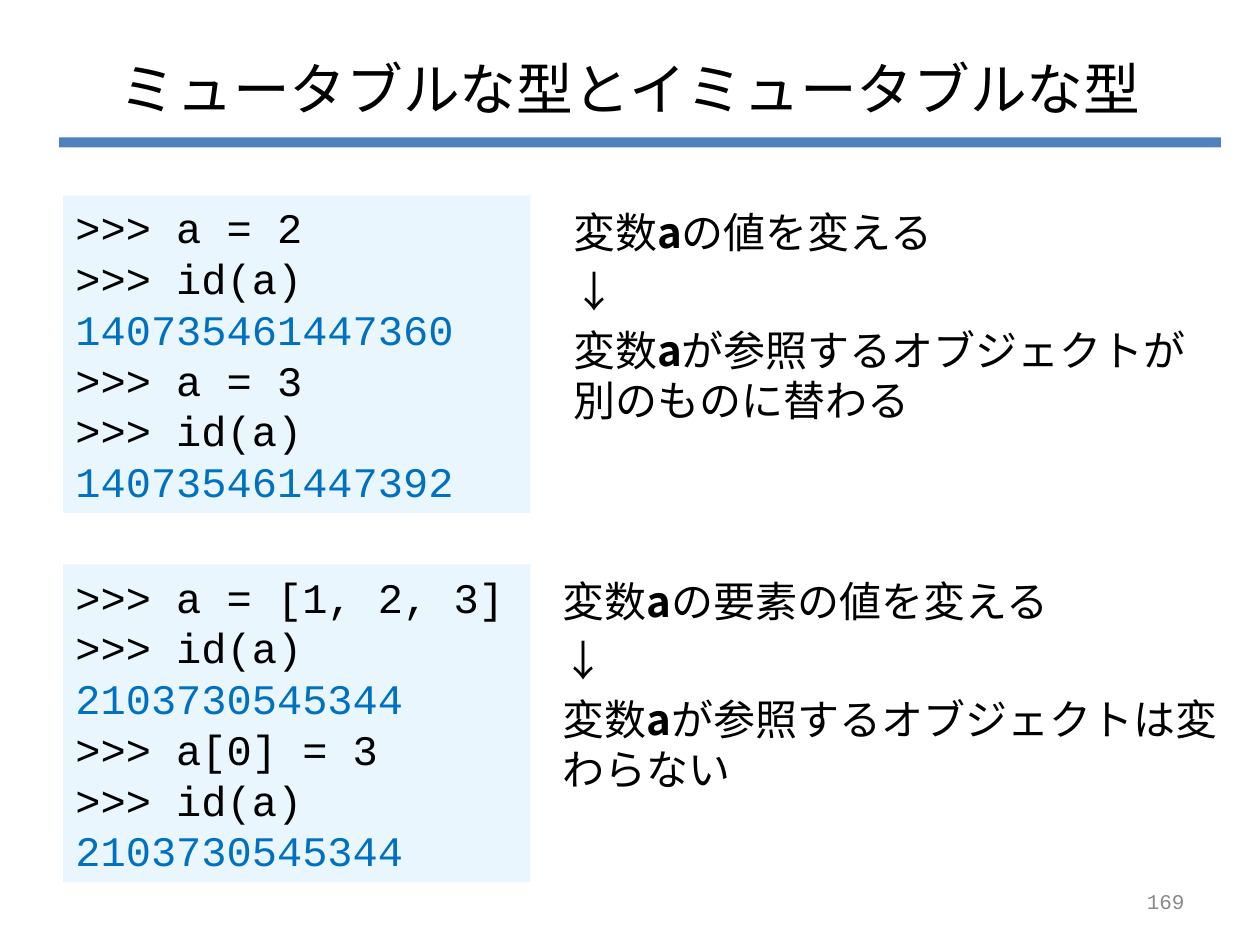
from lxml.etree import SubElement
from pptx import Presentation
from pptx.dml.color import RGBColor
from pptx.enum.shapes import MSO_SHAPE
from pptx.enum.text import MSO_ANCHOR, PP_ALIGN
from pptx.oxml.ns import qn
from pptx.util import Inches, Pt

COLORS = {
    "bar": "4F81BD",
    "code": "EAF6FD",
    "text": "000000",
    "output": "0070C0",
    "number": "898989",
}
SANS = "Noto Sans CJK JP"
MONO = "Courier New"


def add_run(paragraph, text, font=SANS, size=24, color="text", bold=False):
    """Append a formatted run, with the Japanese font for East Asian text."""
    run = paragraph.add_run()
    run.text = text
    run.font.name = font
    run.font.size = Pt(size)
    run.font.bold = bold
    run.font.color.rgb = RGBColor.from_string(COLORS[color])
    SubElement(run.font._element, qn("a:ea"), typeface=SANS)


def add_rectangle(slide, left, top, width, height, color):
    """Add a plain filled rectangle."""
    shape = slide.shapes.add_shape(
        MSO_SHAPE.RECTANGLE, Inches(left), Inches(top), Inches(width), Inches(height)
    )
    shape.shadow.inherit = False
    shape.fill.solid()
    shape.fill.fore_color.rgb = RGBColor.from_string(COLORS[color])
    shape.line.fill.background()
    return shape


def add_text_box(slide, left, top, width, height, anchor=MSO_ANCHOR.TOP):
    """Add a wrapping text box and return its text frame."""
    box = slide.shapes.add_textbox(
        Inches(left), Inches(top), Inches(width), Inches(height)
    )
    box.text_frame.word_wrap = True
    box.text_frame.vertical_anchor = anchor
    return box.text_frame


def add_label(slide, left, top, width, height, text, align, **run_format):
    """Add one vertically centred line of text."""
    frame = add_text_box(slide, left, top, width, height, MSO_ANCHOR.MIDDLE)
    frame.paragraphs[0].alignment = align
    add_run(frame.paragraphs[0], text, **run_format)


def next_paragraph(frame, index):
    """Return the first paragraph, or a new one after it."""
    return frame.add_paragraph() if index else frame.paragraphs[0]


def add_code(slide, top, lines):
    """Add an interpreter session with its output lines coloured."""
    frame = add_rectangle(slide, 0.5, top, 3.71, 2.52, "code").text_frame
    frame.word_wrap = True
    frame.vertical_anchor = MSO_ANCHOR.TOP
    for index, line in enumerate(lines):
        paragraph = next_paragraph(frame, index)
        paragraph.alignment = PP_ALIGN.LEFT
        paragraph.line_spacing = Pt(29)
        color = "text" if line.startswith(">>>") else "output"
        add_run(paragraph, line, font=MONO, color=color)


def add_explanation(slide, left, top, width, height, cause, effect):
    """Explain what happens to the variable, cause above effect."""
    frame = add_text_box(slide, left, top, width, height)
    rows = [("変数", "a", cause), ("↓",), ("変数", "a", effect)]
    for index, row in enumerate(rows):
        paragraph = next_paragraph(frame, index)
        paragraph.line_spacing = Pt(28.8)
        if index:
            paragraph.space_before = Pt(4.8)
        for text in row:
            add_run(paragraph, text, bold=text == "a")


def main():
    """Build and save the slide."""
    presentation = Presentation()
    presentation.slide_width = Inches(10)
    presentation.slide_height = Inches(7.5)
    slide = presentation.slides.add_slide(presentation.slide_layouts[6])

    add_rectangle(slide, 0.47, 1.09, 9.22, 0.08, "bar")
    add_label(slide, 0.5, 0.3, 9, 0.79, "ミュータブルな型とイミュータブルな型",
              PP_ALIGN.CENTER, font="Arial", size=32.4)

    add_code(slide, 1.55, [
        ">>> a = 2", ">>> id(a)", "140735461447360",
        ">>> a = 3", ">>> id(a)", "140735461447392",
    ])
    add_explanation(slide, 4.45, 1.59, 5.28, 2.24,
                    "の値を変える", "が参照するオブジェクトが別のものに替わる")

    add_code(slide, 4.48, [
        ">>> a = [1, 2, 3]", ">>> id(a)", "2103730545344",
        ">>> a[0] = 3", ">>> id(a)", "2103730545344",
    ])
    add_explanation(slide, 4.37, 4.52, 5.43, 1.99,
                    "の要素の値を変える", "が参照するオブジェクトは変わらない")

    add_label(slide, 7.17, 6.95, 2.33, 0.4, "169", PP_ALIGN.RIGHT,
              font=MONO, size=12, color="number")

    presentation.save("out.pptx")


if __name__ == "__main__":
    main()
